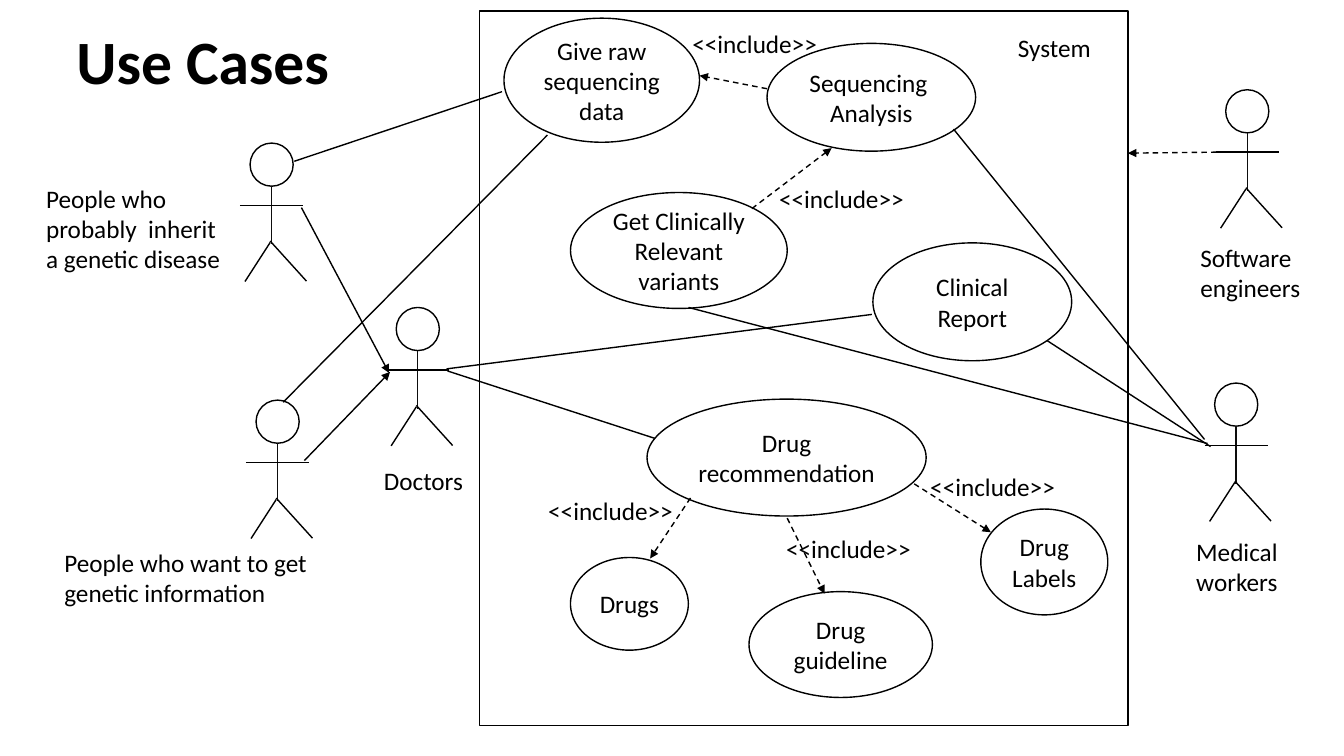
from dataclasses import dataclass

from lxml import etree
from pptx import Presentation
from pptx import util as u
from pptx.dml.color import RGBColor
from pptx.enum import dml, shapes, text
from pptx.oxml import ns


@dataclass(frozen=True)
class Theme:
    font: str = "Calibri"
    ink: str = "000000"
    body: str = "0D0D0D"
    title_size: float = 44
    text_size: float = 18
    line_width: float = 1


class Diagram:
    HEAD = 30.8
    LIMBS = (
        (-7.2, 44.6, 38, 44.6),
        (14.4, 70, 40.3, 98.6),
        (14.4, 71, -3.6, 98.9),
    )

    def __init__(self, slide, theme):
        self.slide = slide
        self.theme = theme

    def set_text(self, sp, words, size=None, bold=False, align=None, spacing=None):
        tf = sp.text_frame
        tf.word_wrap = True
        tf.text = words
        for p in tf.paragraphs:
            p.alignment = align
            p.line_spacing = spacing
            for r in p.runs:
                r.font.name = self.theme.font
                r.font.size = u.Pt(size or self.theme.text_size)
                r.font.bold = bold
                r.font.color.rgb = RGBColor.from_string(self.theme.ink)
        return tf

    def stroke(self, line, color=None):
        line.color.rgb = RGBColor.from_string(color or self.theme.ink)
        line.width = u.Pt(self.theme.line_width)

    def outline(self, kind, *box):
        sp = self.slide.shapes.add_shape(kind, *map(u.Pt, box))
        sp.shadow.inherit = False
        sp.fill.background()
        self.stroke(sp.line)
        return sp

    def frame(self, *box):
        self.outline(shapes.MSO_SHAPE.RECTANGLE, *box)

    def use_case(self, words, *box):
        sp = self.outline(shapes.MSO_SHAPE.OVAL, *box)
        tf = self.set_text(sp, words, align=text.PP_ALIGN.CENTER)
        tf.vertical_anchor = text.MSO_ANCHOR.MIDDLE

    def label(self, words, *box):
        sp = self.slide.shapes.add_textbox(*map(u.Pt, box))
        self.set_text(sp, words).auto_size = text.MSO_AUTO_SIZE.SHAPE_TO_FIT_TEXT

    def title(self, words, *box):
        sp = self.slide.shapes.add_textbox(*map(u.Pt, box))
        tf = self.set_text(sp, words, self.theme.title_size, bold=True, spacing=0.9)
        tf.vertical_anchor = text.MSO_ANCHOR.MIDDLE

    def link(self, *ends, color=None, arrow=False, dashed=False):
        c = self.slide.shapes.add_connector(
            shapes.MSO_CONNECTOR.STRAIGHT, *map(u.Pt, ends))
        self.stroke(c.line, color)
        if dashed:
            c.line.dash_style = dml.MSO_LINE.DASH
        spPr = c._element.spPr
        if arrow:
            ln = spPr.find(ns.qn("a:ln"))
            etree.SubElement(ln, ns.qn("a:tailEnd"), type="triangle")
        etree.SubElement(spPr, ns.qn("a:effectLst"))

    def actor(self, x, y):
        self.outline(shapes.MSO_SHAPE.OVAL, x, y, self.HEAD, self.HEAD)
        mid = x + self.HEAD / 2
        self.link(mid, y + self.HEAD, mid, y + 72.2, color=self.theme.body)
        for x1, y1, x2, y2 in self.LIMBS:
            self.link(x + x1, y + y1, x + x2, y + y2)


ACTORS = (
    (178.6, 102.2),
    (182.9, 285.8),
    (283, 219.6),
    (875.5, 64.1),
    (867.6, 273.6),
)
LABELS = (
    ("People who want to get genetic information", 38.9, 387.4, 187.9, 51.1),
    ("People who probably  inherit a genetic disease", 25.9, 127.4, 141.1, 72.7),
    ("Medical\nworkers", 847.4, 379.4, 96.5, 51.1),
    ("Software engineers", 850.3, 169.2, 104.4, 51.1),
    ("System", 720, 19.4, 109.4, 28.8),
    ("Doctors", 267.1, 329, 104.4, 28.8),
)
USE_CASES = (
    ("Get Clinically Relevant variants", 407.5, 137.5, 154.8, 82.8),
    ("Clinical Report", 623.5, 173.5, 142, 84.2),
    ("Drug recommendation", 462.2, 285.1, 199.4, 83.5),
    ("Sequencing \nAnalysis", 547.9, 31, 149, 77),
    ("Drug guideline", 535, 422.6, 131, 75.6),
    ("Drug Labels", 700.6, 363.6, 90.7, 75.6),
    ("Drugs", 407.5, 398.2, 84.2, 66.2),
    ("Give raw sequencing data", 360, 13, 139.7, 88.6),
)
INCLUDES = (
    (549.4, 127.4, 216),
    (657.4, 333.4, 216),
    (384.5, 350.6, 216),
    (554.4, 377.3, 216),
    (487.4, 16.6, 109.4),
)
DEPENDENCIES = (
    (537.1, 149, 594, 105.8),
    (493.2, 355.7, 464.4, 398.9),
    (653, 345.6, 707.8, 380.2),
    (562.3, 370.1, 589, 424.1),
    (869, 108.7, 805.7, 109.4),
    (547.9, 63.4, 499.7, 54),
)
REFERRALS = (
    (217.4, 329, 278.6, 265.7),
    (215.3, 148.3, 277.9, 266.4),
)
ASSOCIATIONS = (
    (210.2, 115.2, 358.6, 65.5),
    (202.3, 287.3, 391, 96.5),
    (319, 263.5, 622.8, 224.6),
    (748.1, 243.4, 864.7, 319),
    (319.7, 265, 468, 313.2),
    (491.8, 219.6, 862.6, 316.8),
    (681.1, 92.2, 860.4, 313.9),
)


def main():
    prs = Presentation()
    prs.slide_width, prs.slide_height = u.Pt(960), u.Pt(540)
    diagram = Diagram(prs.slides.add_slide(prs.slide_layouts[6]), Theme())

    diagram.title("Use Cases", 47.5, 7.9, 200.2, 77)
    diagram.frame(342.7, 7.9, 463, 510.5)
    for spot in ACTORS:
        diagram.actor(*spot)
    for case in USE_CASES:
        diagram.use_case(*case)
    for label in LABELS:
        diagram.label(*label)
    for x, y, width in INCLUDES:
        diagram.label("<<include>>", x, y, width, 28.8)
    for ends in DEPENDENCIES:
        diagram.link(*ends, arrow=True, dashed=True)
    for ends in REFERRALS:
        diagram.link(*ends, arrow=True)
    for ends in ASSOCIATIONS:
        diagram.link(*ends)

    prs.save("out.pptx")


if __name__ == "__main__":
    main()
